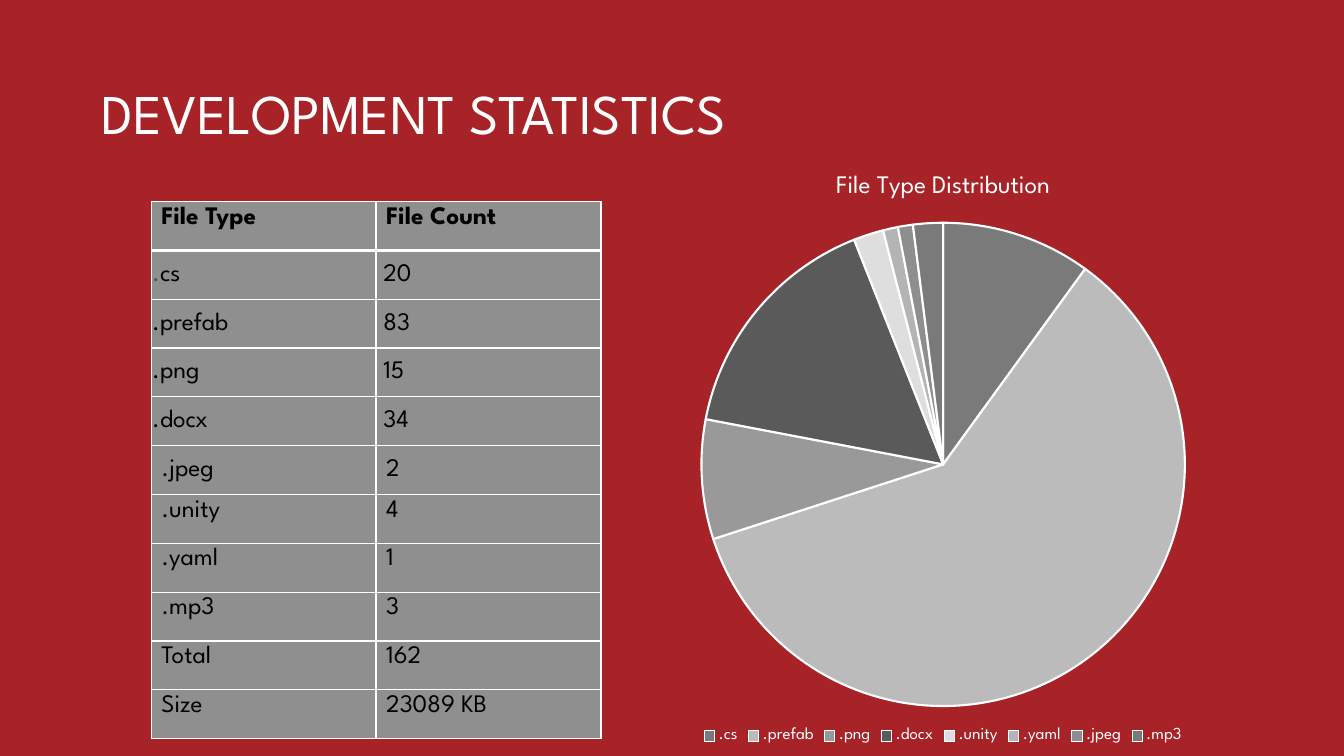
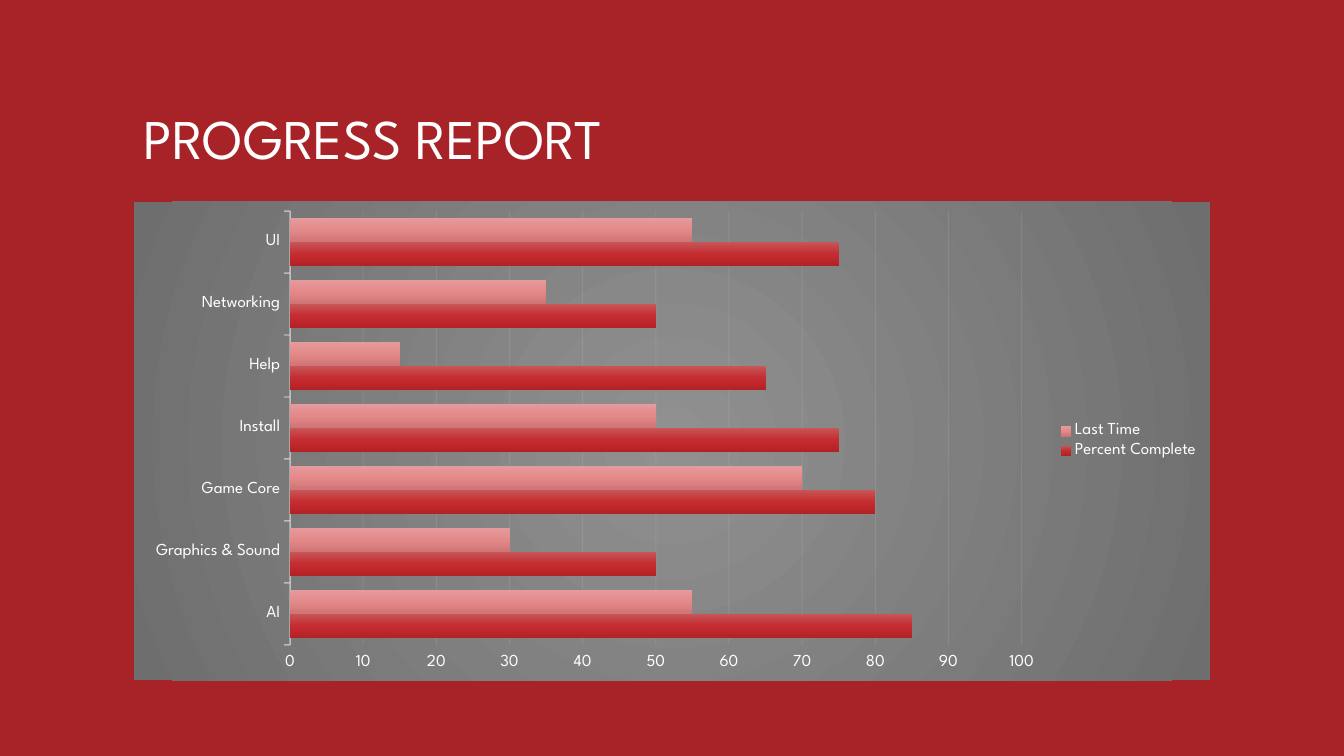
from lxml import etree
from pptx import Presentation
from pptx.chart.data import CategoryChartData
from pptx.dml.color import RGBColor
from pptx.enum import chart as ch, text as tx
from pptx.oxml.ns import qn
from pptx.util import Inches, Pt

RED = RGBColor(0xA7, 0x23, 0x27)
WHITE = RGBColor(0xFF, 0xFF, 0xFF)
BLACK = RGBColor(0, 0, 0)
CELL_GREY = RGBColor(0x8F, 0x8F, 0x8F)
DARK_GREY = RGBColor(0x54, 0x54, 0x54)
PALE = RGBColor(0xF2, 0xF2, 0xF2)
SLICES = [RGBColor.from_string(c) for c in (
    "7A7A7A", "BBBBBB", "999999", "5A5A5A", "DEDEDE", "B4B4B4", "8E8E8E", "7A7A7A")]
PANEL_STOPS = [(0, RGBColor(0x90, 0x90, 0x90)), (100, RGBColor(0x6E, 0x6E, 0x6E))]
NOW_STOPS = [(0, RGBColor(0xC7, 0x56, 0x58)), (50, RGBColor(0xC4, 0x2C, 0x30)),
             (100, RGBColor(0xB4, 0x21, 0x24))]
LAST_STOPS = [(0, RGBColor(0xE4, 0x9B, 0x9C)), (50, RGBColor(0xE4, 0x89, 0x8A)),
              (100, RGBColor(0xD0, 0x74, 0x75))]
FONT = "League Spartan"


def add(parent, tag, **attributes):
    """Append a child element and return it."""
    return etree.SubElement(parent, qn(tag), {k: str(v) for k, v in attributes.items()})


def format_font(font, size, color, bold=False):
    """Apply the deck's typeface with a size and colour."""
    font.name, font.size, font.bold = FONT, Pt(size), bold
    font.color.rgb = color


def write(paragraph, text, size=18, color=BLACK, bold=False):
    """Add one formatted run of text to a paragraph."""
    run = paragraph.add_run()
    run.text = text
    format_font(run.font, size, color, bold)


def gradient(properties, stops, radial=False):
    """Fill shape properties with a vertical or centred radial gradient."""
    fill = add(properties, "a:gradFill", rotWithShape=1)
    stop_list = add(fill, "a:gsLst")
    for percent, color in stops:
        stop = add(stop_list, "a:gs", pos=percent * 1000)
        add(stop, "a:srgbClr", val=color)
    if radial:
        circle = add(fill, "a:path", path="circle")
        add(circle, "a:fillToRect", l=50000, t=50000, r=50000, b=50000)
    else:
        add(fill, "a:lin", ang=90 * 60000, scaled=0)


def faint_line(line, width, opacity):
    """Draw a pale line with the given opacity in percent."""
    line.width = Pt(width)
    line.color.rgb = PALE
    color = line._get_or_add_ln().find(".//" + qn("a:srgbClr"))
    add(color, "a:alpha", val=opacity * 1000)


def place_plot(chart, x, y, w, h):
    """Fix the inner plot area as fractions of the chart."""
    plot_area = chart._chartSpace.chart.plotArea
    for old in plot_area.findall(qn("c:layout")):
        plot_area.remove(old)
    layout = etree.Element(qn("c:layout"))
    plot_area.insert(0, layout)
    manual = add(layout, "c:manualLayout")
    for tag, value in (("layoutTarget", "inner"), ("xMode", "edge"), ("yMode", "edge"),
                       ("x", x), ("y", y), ("w", w), ("h", h)):
        add(manual, "c:" + tag, val=value)


def border(cell, bottom):
    """Rule a cell in white, with its own bottom width."""
    properties = cell._tc.get_or_add_tcPr()
    for index, (side, width) in enumerate(
            (("a:lnL", 1), ("a:lnR", 1), ("a:lnT", 1), ("a:lnB", bottom))):
        line = etree.Element(qn(side), {"w": str(Pt(width))})
        add(add(line, "a:solidFill"), "a:srgbClr", val=WHITE)
        properties.insert(index, line)


class Deck:
    """Holds the shared style and the slide being built."""

    def __init__(self):
        """Start a widescreen presentation."""
        self.prs = Presentation()
        self.prs.slide_width, self.prs.slide_height = Inches(13.33), Inches(7.5)
        self.slide = None

    def new_slide(self, heading, left, top):
        """Add a red slide with its heading."""
        self.slide = self.prs.slides.add_slide(self.prs.slide_layouts[6])
        background = self.slide.background.fill
        background.solid()
        background.fore_color.rgb = RED
        frame = self.slide.shapes.add_textbox(
            Inches(left), Inches(top), Inches(10.67), Inches(1.45)).text_frame
        frame.word_wrap = True
        frame.vertical_anchor = tx.MSO_ANCHOR.BOTTOM
        frame.paragraphs[0].line_spacing = 0.9
        write(frame.paragraphs[0], heading, size=40, color=WHITE)

    def table(self, rows, left, top, width, height, tight, middle):
        """Add a table; row ranges tell which are tight or centred vertically."""
        grid = self.slide.shapes.add_table(
            len(rows), len(rows[0]), Inches(left), Inches(top),
            Inches(width), Inches(height)).table
        grid.first_row = grid.horz_banding = False
        for r, row in enumerate(rows):
            for c, runs in enumerate(row):
                cell = grid.cell(r, c)
                cell.fill.solid()
                cell.fill.fore_color.rgb = CELL_GREY
                border(cell, bottom=3 if r == 0 else 1)
                if r in middle:
                    cell.vertical_anchor = tx.MSO_ANCHOR.MIDDLE
                if r in tight:
                    cell.margin_left = cell.margin_right = cell.margin_top = Inches(0.01)
                    cell.margin_bottom = 0
                paragraph = cell.text_frame.paragraphs[0]
                for text, color in ([(runs, BLACK)] if isinstance(runs, str) else runs):
                    write(paragraph, text, color=color, bold=r == 0)

    def chart(self, kind, categories, series, box, color, legend):
        """Add a chart with the shared font and legend style."""
        data = CategoryChartData()
        data.categories = categories
        for name, values in series.items():
            data.add_series(name, values)
        chart = self.slide.shapes.add_chart(kind, *map(Inches, box), data).chart
        format_font(chart.font, 10, color)
        chart.has_title = False
        chart.has_legend = True
        chart.legend.position = legend
        chart.legend.include_in_layout = False
        format_font(chart.legend.font, 12, WHITE)
        return chart

    def pie(self, heading, categories, series, box):
        """Add a titled pie with one grey per slice."""
        chart = self.chart(ch.XL_CHART_TYPE.PIE, categories, series, box,
                           DARK_GREY, ch.XL_LEGEND_POSITION.BOTTOM)
        chart.has_title = True
        write(chart.chart_title.text_frame.paragraphs[0], heading, color=WHITE)
        chart.plots[0].vary_by_categories = True
        for index, color in enumerate(SLICES):
            look = chart.plots[0].series[0].points[index].format
            look.fill.solid()
            look.fill.fore_color.rgb = color
            look.line.color.rgb = WHITE
            look.line.width = Pt(1.5)
        place_plot(chart, 0.23, 0.12, 0.54, 0.81)

    def bars(self, categories, series, fills, box):
        """Add clustered bars on a grey radial panel."""
        chart = self.chart(ch.XL_CHART_TYPE.BAR_CLUSTERED, categories, series, box,
                           BLACK, ch.XL_LEGEND_POSITION.RIGHT)
        panel = etree.Element(qn("c:spPr"))
        chart._chartSpace.chart.addnext(panel)
        gradient(panel, PANEL_STOPS, radial=True)
        add(add(panel, "a:ln"), "a:noFill")
        plot = chart.plots[0]
        plot.vary_by_categories = False
        plot.gap_width, plot.overlap = 55, 0
        for bar, stops in zip(plot.series, fills):
            gradient(bar._element.get_or_add_spPr(), stops)
        areas, percent = chart.category_axis, chart.value_axis
        for axis in (areas, percent):
            format_font(axis.tick_labels.font, 12, WHITE)
            axis.major_tick_mark = ch.XL_TICK_MARK.OUTSIDE
        faint_line(areas.format.line, 1, 54)
        percent.format.line.fill.background()
        percent.minimum_scale, percent.maximum_scale, percent.major_unit = 0, 100, 10
        faint_line(percent.major_gridlines.format.line, 0.75, 10)
        place_plot(chart, 0.145, 0.02, 0.68, 0.906)


def spaced(count):
    """Return a count led by one grey space."""
    return [(" ", DARK_GREY), (count, BLACK)]


def main():
    """Build both slides and save them."""
    deck = Deck()
    deck.new_slide("DEVELOPMENT STATISTICS", 0.91, 0.05)
    file_counts = [
        ("File Type", "File Count"),
        ([(".", DARK_GREY), ("cs", BLACK)], spaced("20")),
        (".prefab", spaced("83")),
        (".png", spaced("15")),
        (".docx", spaced("34")),
        (".jpeg", "2"),
        (".unity", "4"),
        (".yaml", "1"),
        (".mp3", "3"),
        ("Total", "162"),
        ("Size", "23089 KB"),
    ]
    deck.table(file_counts, 1.5, 2, 4.46, 5.33, tight=range(1, 5), middle=range(1, 6))
    deck.pie("File Type Distribution",
             [".cs", ".prefab", ".png", ".docx", ".unity", ".yaml", ".jpeg", ".mp3"],
             {"Series 1": [10, 60, 8, 16, 2, 1, 1, 2]}, (4.91, 1.5, 8.89, 5.92))

    deck.new_slide("PROGRESS REPORT", 1.33, 0.3)
    deck.bars(["AI", "Graphics & Sound", "Game Core", "Install", "Help", "Networking", "UI"],
              {"Percent Complete": [85, 50, 80, 75, 65, 50, 75],
               "Last Time": [55, 30, 70, 50, 15, 35, 55]},
              [NOW_STOPS, LAST_STOPS], (1.33, 2, 10.67, 4.75))
    deck.prs.save("out.pptx")


main()
